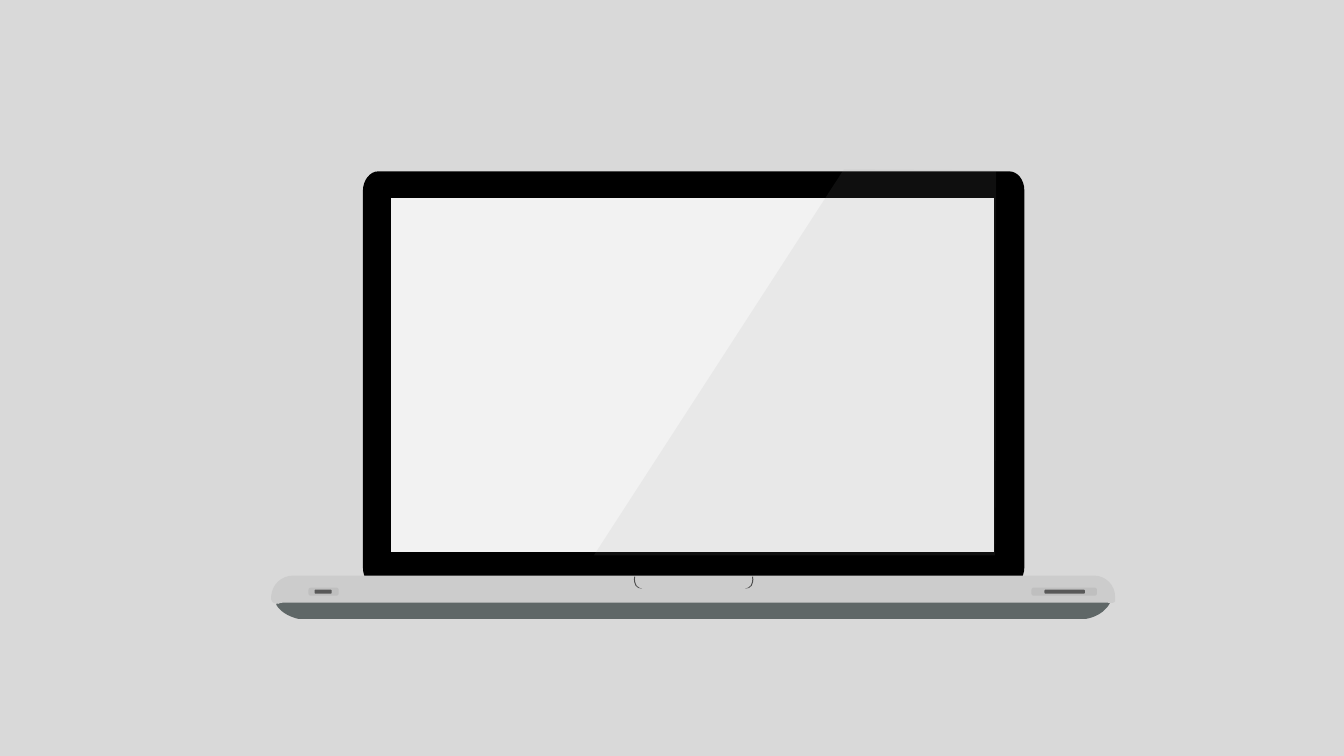
from pptx import Presentation
from pptx import util as u
from pptx.dml.color import RGBColor
from pptx.enum import shapes
from pptx.oxml.ns import qn
from lxml import etree

ink = {
    "wall": "D9D9D9", "under": "5F6767", "lid": "000000", "screen": "F2F2F2",
    "base": "CCCCCC", "notch": "4D4D4D", "port": "BFBFBF", "slot": "595959",
    "glare": "999999",
}
cols, rows = 1333, 750

deck = Presentation()
deck.slide_width = u.Inches(cols / 100)
deck.slide_height = u.Inches(rows / 100)
cell = deck.slide_width / cols
slide = deck.slides.add_slide(deck.slide_layouts[6])
slide.background.fill.solid()
slide.background.fill.fore_color.rgb = RGBColor.from_string(ink["wall"])
laptop = slide.shapes.add_group_shape().shapes


def paint(shape, name):
    shape.shadow.inherit = False
    shape.fill.solid()
    shape.fill.fore_color.rgb = RGBColor.from_string(ink[name])
    shape.line.fill.background()
    return shape


def outline(name, *loops):
    pen = laptop.build_freeform(*loops[0][0], scale=cell)
    for i, (start, *parts) in enumerate(loops):
        if i:
            pen.move_to(*start)
        spots = [part[k:k + 2] for part in parts for k in range(0, len(part), 2)]
        pen.add_line_segments(spots, close=True)
    shape = pen.convert_to_shape()
    lines = iter(list(shape._element.iter(qn("a:lnTo"))))
    for part in (part for loop in loops for part in loop[1:]):
        first = next(lines)
        if len(part) == 6:
            first.tag = qn("a:cubicBezTo")
            for k in range(2):
                extra = next(lines)
                first.append(extra[0])
                extra.getparent().remove(extra)
    return paint(shape, name)


outline("under", [
    (1077, 614), (1077, 614, 1094, 612, 1101, 598), (1101, 594, 1098, 591, 1093, 591),
    (292, 594), (282, 594), (278, 594, 274, 596, 274, 600),
    (279, 609, 291, 613, 296, 614), (299, 614)])

outline("lid", [
    (1016, 563), (1016, 573, 1009, 582, 1001, 582), (375, 582),
    (367, 582, 360, 574, 360, 563), (360, 189), (360, 179, 367, 170, 375, 170),
    (1001, 170), (1009, 170, 1016, 178, 1016, 189)])

outline("screen", [(388, 196), (986, 196), (986, 548), (388, 548)])

outline("base", [
    (291, 571), (1085, 571), (1097, 571, 1106, 581, 1106, 592), (1106, 596),
    (1106, 596, 1107, 599, 1099, 598), (1098, 598, 1098, 598, 1097, 598),
    (280, 598), (279, 598, 278, 598, 276, 599), (274, 599, 270, 599, 269, 595),
    (269, 591), (270, 580, 279, 571, 291, 571)])

curl = [(629, 572), (628, 580, 631, 584, 637, 584),
        (632, 583, 629, 580, 630, 572)]
twin = [tuple(n if i % 2 else 1376 - n for i, n in enumerate(part)) for part in curl]
outline("notch", curl, twin)

for name, left, top, wide, high in (
        ("port", 306, 583, 30, 8), ("slot", 312, 585, 17, 4),
        ("port", 1023, 583, 65, 8), ("slot", 1036, 585, 40, 4)):
    box = [round(n * cell) for n in (left, top, wide, high)]
    bar = paint(laptop.add_shape(shapes.MSO_SHAPE.ROUNDED_RECTANGLE, *box), name)
    bar.adjustments[0] = 0.28

glare = outline("glare", [(837, 168), (988, 169), (988, 296, 988, 425, 987, 551),
                          (589, 551)])
tint = next(glare._element.spPr.iter(qn("a:srgbClr")))
etree.SubElement(tint, qn("a:alpha")).set("val", "10000")

deck.save("out.pptx")
